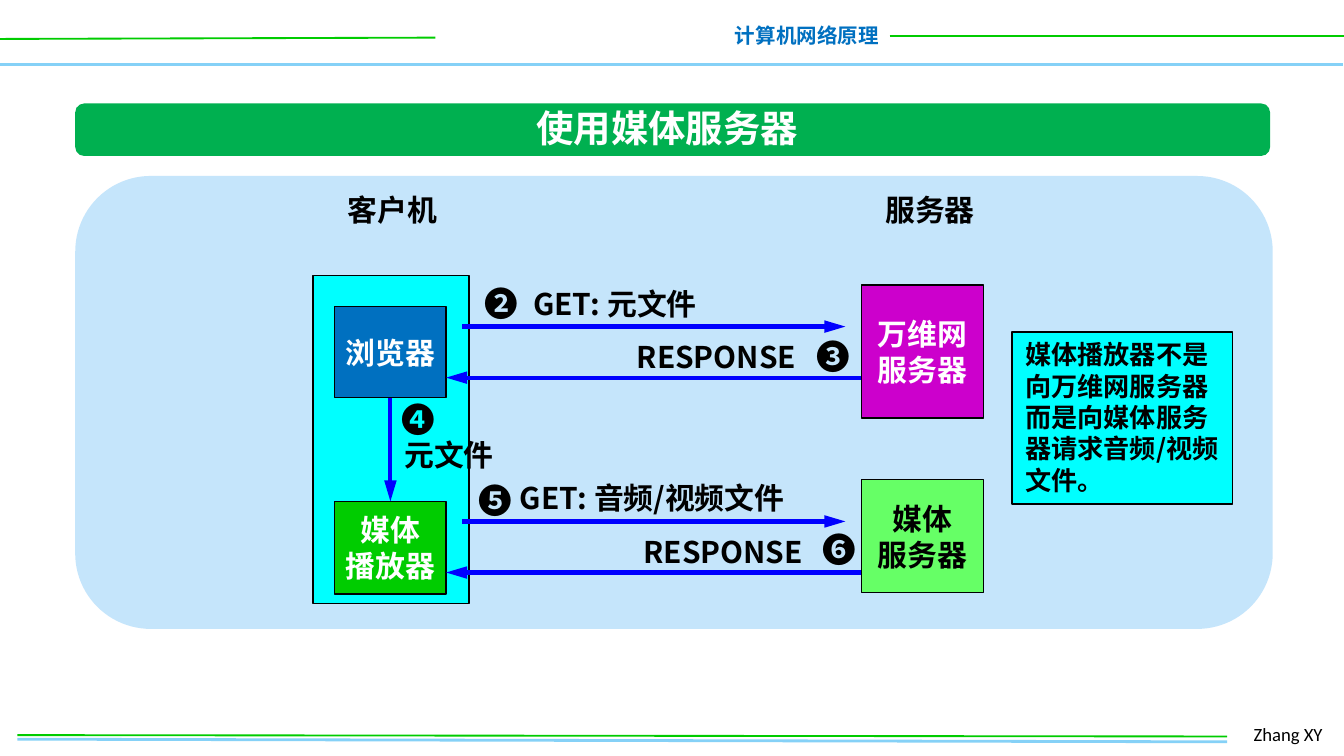
from dataclasses import dataclass

from lxml import etree
from pptx import Presentation
from pptx import util as u
from pptx.dml.color import RGBColor
from pptx.enum import shapes, text
from pptx.oxml import ns


@dataclass(frozen=True)
class Theme:
    cjk: str = "Noto Sans CJK SC"
    latin: str = "Calibri"
    black: str = "000000"
    white: str = "FFFFFF"
    sky: str = "85D1F7"
    pale: str = "C5E5FB"
    green: str = "00CC00"
    banner: str = "00B050"
    lime: str = "66FF66"
    blue: str = "0070C0"
    arrow: str = "0000FF"
    cyan: str = "00FFFF"
    magenta: str = "CC00CC"
    title: int = 20
    badge: int = 18
    label: int = 16
    note: int = 14
    header: int = 11
    footer: int = 10


THEME = Theme()
ALIGN = text.PP_ALIGN
ANCHOR = text.MSO_ANCHOR
SHAPE = shapes.MSO_SHAPE


def write(frame, words, size=THEME.label, color=THEME.black, font=THEME.cjk, bold=True,
          align=ALIGN.LEFT, anchor=ANCHOR.TOP, wrap=False, grow=True):
    frame.word_wrap = wrap
    frame.auto_size = text.MSO_AUTO_SIZE.SHAPE_TO_FIT_TEXT if grow else text.MSO_AUTO_SIZE.NONE
    frame.vertical_anchor = anchor
    for index, line in enumerate(words.split("\n")):
        paragraph = frame.add_paragraph() if index else frame.paragraphs[0]
        paragraph.alignment = align
        run = paragraph.add_run()
        run.text = line
        run.font.size = u.Pt(size)
        run.font.bold = bold
        run.font.color.rgb = RGBColor.from_string(color)
        run.font.name = font
        etree.SubElement(run.font._element, ns.qn("a:ea"), typeface=font)


class Deck:
    """Holds the theme and the current slide, and draws each kind of element."""

    def __init__(self, theme):
        self.theme = theme
        self.file = Presentation()
        self.file.slide_width = u.Inches(10)
        self.file.slide_height = self.file.slide_width * 9 // 16
        self.slide = self.file.slides.add_slide(self.file.slide_layouts[5])

    def title(self, words, *box):
        heading = self.slide.shapes.title
        heading.left, heading.top, heading.width, heading.height = map(u.Inches, box)
        write(heading.text_frame, words, size=self.theme.title, color=self.theme.white,
              align=ALIGN.CENTER)
        self.slide.shapes._spTree.append(heading._element)

    def label(self, words, *box, **style):
        caption = self.slide.shapes.add_textbox(*map(u.Inches, box))
        write(caption.text_frame, words, **style)

    def panel(self, fill, *box, preset=SHAPE.RECTANGLE, outline=True):
        area = self.slide.shapes.add_shape(preset, *map(u.Inches, box))
        area.shadow.inherit = False
        area.fill.solid()
        area.fill.fore_color.rgb = RGBColor.from_string(fill)
        if outline:
            area.line.color.rgb = RGBColor.from_string(self.theme.black)
            area.line.width = u.Pt(0.75)
        else:
            area.line.fill.background()
        return area

    def node(self, words, fill, *box, color=THEME.white):
        host = self.panel(fill, *box)
        write(host.text_frame, words, color=color, align=ALIGN.CENTER,
              anchor=ANCHOR.MIDDLE, grow=False)
        return host

    def rule(self, color, width, *ends):
        stroke = self.slide.shapes.add_connector(shapes.MSO_CONNECTOR.STRAIGHT,
                                                 *map(u.Inches, ends))
        stroke.line.color.rgb = RGBColor.from_string(color)
        stroke.line.width = u.Pt(width)
        etree.SubElement(stroke._element.spPr, ns.qn("a:effectLst"))
        return stroke

    def arrow(self, *ends):
        stroke = self.rule(self.theme.arrow, 2.25, *ends)
        etree.SubElement(stroke.line._get_or_add_ln(), ns.qn("a:tailEnd"),
                         type="triangle", w="med", len="lg")
        return stroke

    def step(self, badge, badge_at, words, words_at, width):
        self.label(badge, *badge_at, 0.49, 0.4, size=self.theme.badge)
        self.label(words, *words_at, width, 0.4)


def main():
    deck = Deck(THEME)

    deck.rule(THEME.sky, 2, 0, 0.48, 9.99, 0.48)
    deck.rule(THEME.green, 1, 0, 0.29, 3.24, 0.28)
    deck.label("计算机网络原理", 5.36, 0.12, 1.28, 0.29, size=THEME.header,
               color=THEME.blue, align=ALIGN.RIGHT)
    deck.rule(THEME.green, 1, 6.62, 0.27, 10, 0.27)
    deck.rule(THEME.sky, 1.5, 0.13, 5.5, 9.13, 5.52)
    deck.label("Zhang XY", 9.23, 5.33, 0.74, 0.27, size=THEME.footer,
               font=THEME.latin, bold=False, wrap=True)
    deck.rule(THEME.green, 1, 0.13, 5.47, 9.13, 5.48)

    deck.panel(THEME.pale, 0.56, 1.31, 8.91, 3.37, preset=SHAPE.ROUNDED_RECTANGLE, outline=False)
    deck.panel(THEME.banner, 0.56, 0.77, 8.89, 0.39, preset=SHAPE.ROUNDED_RECTANGLE,
               outline=False)
    deck.title("使用媒体服务器", 3.84, 0.73, 2.25, 0.44)

    deck.panel(THEME.cyan, 2.33, 2.05, 1.16, 2.44)
    deck.node("万维网\n服务器", THEME.magenta, 6.41, 2.12, 0.91, 0.99)
    deck.node("媒体\n服务器", THEME.lime, 6.41, 3.57, 0.91, 0.84, color=THEME.black)
    browser = deck.node("浏览器", THEME.blue, 2.49, 2.28, 0.83, 0.68)
    player = deck.node("媒体\n播放器", THEME.green, 2.49, 3.73, 0.83, 0.69)

    handover = deck.arrow(2.91, 2.96, 2.91, 3.73)
    handover.begin_connect(browser, 2)
    handover.end_connect(player, 0)
    for request in (2.43, 3.88):
        response = request + 0.38
        deck.arrow(3.44, request, 6.29, request)
        deck.arrow(6.41, response, 3.32, response)

    for step in (
        ("❷", (3.51, 2.06), "GET: 元文件", (3.87, 2.08), 1.55),
        ("❸", (5.98, 2.45), "RESPONSE", (4.64, 2.47), 1.5),
        ("❹", (2.89, 2.92), "元文件", (2.91, 3.2), 0.94),
        ("❺", (3.46, 3.52), "GET: 音频/视频文件", (3.77, 3.52), 2.38),
        ("❻", (6.02, 3.89), "RESPONSE", (4.69, 3.92), 1.5),
    ):
        deck.step(*step)

    for side, left in (("客户机", 2.49), ("服务器", 6.49)):
        deck.label(side, left, 1.38, 0.94, 0.4)

    remark = deck.panel(THEME.cyan, 7.53, 2.47, 1.64, 1.28)
    write(remark.text_frame, "媒体播放器不是向万维网服务器而是向媒体服务器请求音频/视频文件。",
          size=THEME.note, wrap=True)

    deck.file.save("out.pptx")


if __name__ == "__main__":
    main()
